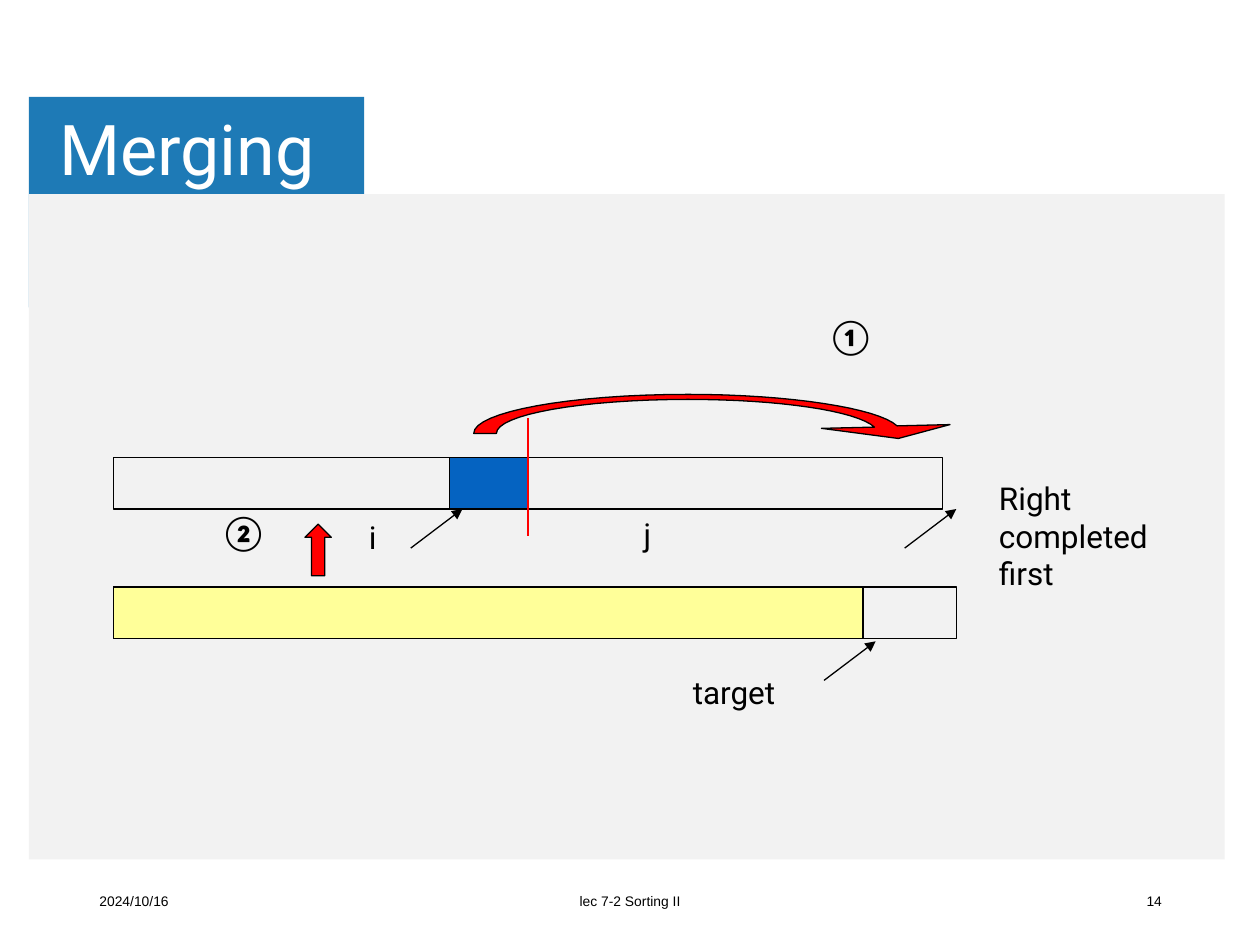
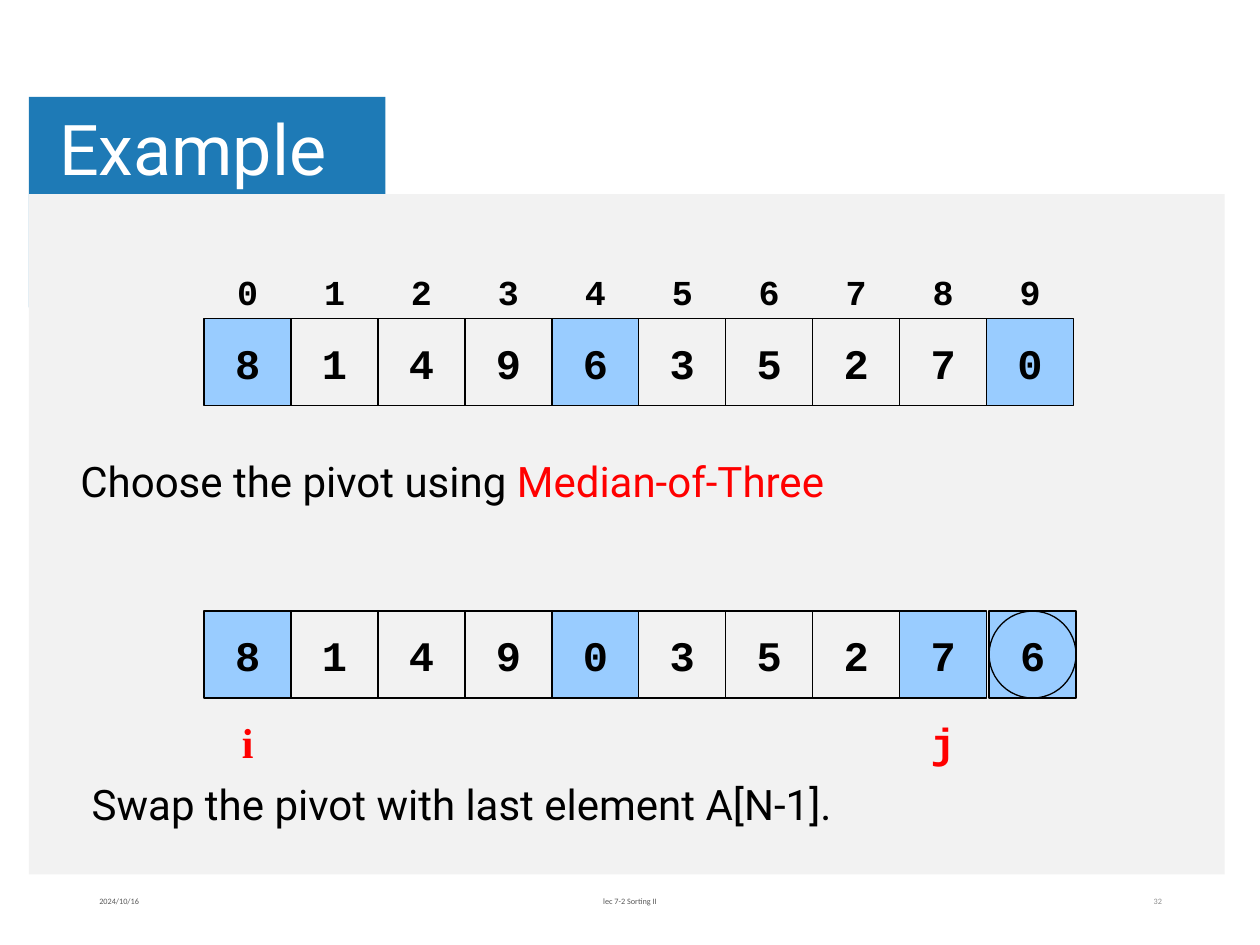
from collections import namedtuple
from lxml.etree import SubElement
from pptx import Presentation
from pptx.dml.color import RGBColor
from pptx.enum.shapes import MSO_CONNECTOR, MSO_SHAPE
from pptx.enum.text import MSO_ANCHOR, PP_ALIGN
from pptx.oxml.ns import qn
from pptx.util import Inches, Pt

# The slide is a grid of 100 columns by 75 rows; every length counts these.
WIDTH, HEIGHT = Inches(10), Inches(7.5)
COL, ROW = WIDTH / 100, HEIGHT / 75

BLACK, WHITE, RED = "000000", "FFFFFF", "FF0000"
BAND, PANEL = "1E7AB6", "F2F2F2"
REST, DONE, MARK = "0563C1", "FFFF99", "99CCFF"
SANS, MONO = "Roboto", "Courier New"
LEFT, MID, RIGHT = PP_ALIGN.LEFT, PP_ALIGN.CENTER, PP_ALIGN.RIGHT

Box = namedtuple("Box", "x y w h")
Font = namedtuple("Font", "name size color bold", defaults=(BLACK, False))
BODY, NOTE, STEP = Font(SANS, 24), Font(SANS, 18), Font("Calibri", 20, BLACK, True)
CELL = Font(MONO, 24, BLACK, True)


def within(box, x, y, w, h):
    """Box whose corner is x, y away from the corner of another."""
    return Box(box.x + x, box.y + y, w, h)


def scale(box):
    return [round(n * u) for n, u in zip(box, (COL, ROW, COL, ROW))]


def paint(shape, fill, line):
    shape.shadow.inherit = False
    if fill:
        shape.fill.solid()
        shape.fill.fore_color.rgb = RGBColor.from_string(fill)
    else:
        shape.fill.background()
    if line:
        shape.line.color.rgb = RGBColor.from_string(line)
        shape.line.width = Pt(0.75)
    else:
        shape.line.fill.background()


def draw(slide, box, fill=None, line=BLACK, kind=MSO_SHAPE.RECTANGLE):
    shape = slide.shapes.add_shape(kind, *scale(box))
    paint(shape, fill, line)
    return shape


def write(frame, lines, align=LEFT, mid=False, wrap=True):
    """Fill a text frame; each line is a list of (text, font) runs."""
    frame.word_wrap = wrap
    frame.vertical_anchor = MSO_ANCHOR.MIDDLE if mid else MSO_ANCHOR.TOP
    for n, runs in enumerate(lines):
        para = frame.add_paragraph() if n else frame.paragraphs[0]
        para.alignment = align
        for text, font in runs:
            run = para.add_run()
            run.text = text
            run.font.name, run.font.size = font.name, Pt(font.size)
            run.font.bold = font.bold
            run.font.color.rgb = RGBColor.from_string(font.color)


def label(slide, box, lines, **how):
    frame = slide.shapes.add_textbox(*scale(box)).text_frame
    write(frame, lines, **how)
    return frame


def link(slide, start, end, color=BLACK, width=0.75, arrow=True):
    ends = scale(start + end)
    line = slide.shapes.add_connector(MSO_CONNECTOR.STRAIGHT, *ends)
    line.line.color.rgb = RGBColor.from_string(color)
    line.line.width = Pt(width)
    if arrow:
        SubElement(line.line._get_or_add_ln(), qn("a:tailEnd"), type="triangle")
    SubElement(line._element.spPr, qn("a:effectLst"))


def bend(start, *ctrl, steps=16):
    """Points along a cubic curve, without its start."""
    knots = (start,) + ctrl
    points = []
    for n in range(1, steps + 1):
        t = n / steps
        parts = ((1 - t) ** 3, 3 * t * (1 - t) ** 2, 3 * t * t * (1 - t), t ** 3)
        points.append(tuple(sum(p * k[i] for p, k in zip(parts, knots))
                            for i in (0, 1)))
    return points


def frame_page(deck, title, tab, depth, page, foot, dim):
    """Blank slide with title band, panel and footer."""
    slide = deck.slides.add_slide(deck.slide_layouts[6])
    draw(slide, Box(2.3, 7.7, tab, 16.7), BAND, None)
    draw(slide, Box(2.3, 15.4, 94.9, depth), PANEL, None)
    head = label(slide, Box(4, 8.2, 75.1, 7.9),
                 [[(title, Font(SANS, 40, WHITE))]], mid=True)
    head.margin_left = head.margin_right = round(0.7 * COL)
    head.margin_top = head.margin_bottom = round(0.4 * ROW)
    head.paragraphs[0].line_spacing = 0.9
    feet = (("2024/10/16", 6.9, 22.5, LEFT, foot),
            ("lec 7-2 Sorting II", 33.1, 33.8, MID, foot),
            (page, 70.7, 22.5, RIGHT, dim))
    for text, x, w, align, font in feet:
        label(slide, Box(x, 69.5, w, 4), [[(text, font)]], align=align, mid=True)
    return slide


def sweep(slide, box):
    """Curved arrow from the rest of the left half to the far end."""
    tip = (60.4, 9.4)
    crest, base = (45.6, 7.2), (28.6, 9.9)
    points = [tip, *bend(tip, (59, 8.1), (52.8, 7.2), crest),
              *bend(crest, (37.2, 7.2), (30.4, 8.4), (30.4, 9.9)), base,
              *bend(base, (28.6, 8.2), (36.2, 6.8), (45.6, 6.8)),
              *bend((45.6, 6.8), (53.7, 6.8), (60.7, 7.9), (62.2, 9.3)),
              (66.4, 9.2), (62.3, 10.3), (56.2, 9.5)]
    spots = [(round((box.x + x) * COL), round((box.y + y) * ROW))
             for x, y in points]
    path = slide.shapes.build_freeform(*spots[0])
    path.add_line_segments(spots[1:], close=True)
    paint(path.convert_to_shape(), RED, BLACK)


def merge_view(slide, box):
    half, tall, top, low = 32.9, 4.1, 11.8, 22.1
    bars = ((0, top, half, None), (half, top, half, None),
            (0, low, 66.9, None), (half - 6.2, top, 6.2, REST),
            (0, low, 59.5, DONE))
    for x, y, w, fill in bars:
        draw(slide, within(box, x, y, w, tall), fill)
    split = box.x + half
    link(slide, (split, box.y + 8.7), (split, box.y + 18), RED, 1.5, False)
    for x, y in ((27.7, 15.9), (60.5, 26.4), (66.9, 15.9)):
        tip = (box.x + x, box.y + y)
        link(slide, (tip[0] - 4.1, tip[1] + 3.1), tip)
    notes = ((["i"], 19.3, 16.1, 5.6, 4, NOTE),
             (["j"], 41.1, 15.9, 5.6, 4, NOTE),
             (["target"], 45, 28.4, 14.7, 4, NOTE),
             (["Right completed", "first"], 69.3, 13, 15.8, 13.1, NOTE),
             (["②"], 7.5, 15.5, 8.4, 4.4, STEP),
             (["①"], 55.7, 0, 7.5, 4.4, STEP))
    for texts, x, y, w, h, font in notes:
        label(slide, within(box, x, y, w, h), [[(t, font)] for t in texts])
    draw(slide, within(box, 15.2, 17.1, 2.1, 4.1), RED, kind=MSO_SHAPE.UP_ARROW)
    sweep(slide, box)


def array(slide, box, values, marks, gap=0):
    """Row of square cells; gap sets the last one apart. Returns cell boxes."""
    side = box.h
    cells = [within(box, n * side, 0, side, side) for n in range(len(values))]
    cells[-1] = within(cells[-1], gap, 0, side, side)
    for n, (cell, value) in enumerate(zip(cells, values)):
        shape = draw(slide, cell, MARK if n in marks else None)
        write(shape.text_frame, [[(value, CELL)]], MID, True, False)
    return cells


def tag(slide, cell, shift, text, font):
    """Label a cell from a box shifted up or down."""
    label(slide, within(cell, 0, shift, cell.w, cell.h), [[(text, font)]],
          align=MID, mid=True, wrap=False)


def pivot_view(slide, box):
    label(slide, within(box, -9.9, 41.6, 92.6, 5),
          [[("Swap the pivot with last element A[N-1].", BODY)]])
    label(slide, within(box, -10.8, 16, 90.7, 5),
          [[("Choose the pivot using ", BODY),
            ("Median-of-Three", BODY._replace(color=RED))]])
    before = array(slide, within(box, 0, 5.6, box.w, 6.9), "8149635270", (0, 4, 9))
    for n, cell in enumerate(before):
        tag(slide, cell, -5.6, str(n), CELL._replace(size=20))
    after = array(slide, within(box, 0, 28.8, box.w, 6.9), "8149035276",
                  (0, 4, 8, 9), 0.2)
    draw(slide, after[-1], kind=MSO_SHAPE.OVAL)
    tag(slide, after[0], 6.9, "i", Font("Times New Roman", 24, RED, True))
    tag(slide, after[8], 6.9, "j", CELL._replace(color=RED))


def main():
    deck = Presentation()
    deck.slide_width, deck.slide_height = WIDTH, HEIGHT
    foot = Font("Arial", 7.9)
    merge = frame_page(deck, "Merging", 26.6, 52.8, "14", foot, foot)
    merge_view(merge, Box(9, 24.5, 85.1, 32.6))
    foot = Font("Calibri", 4.7, "595959")
    pivot = frame_page(deck, "Example", 28.3, 54, "32", foot,
                       foot._replace(color="8C8C8C"))
    pivot_view(pivot, Box(16.2, 19.7, 69, 46.6))
    deck.save("out.pptx")


if __name__ == "__main__":
    main()
